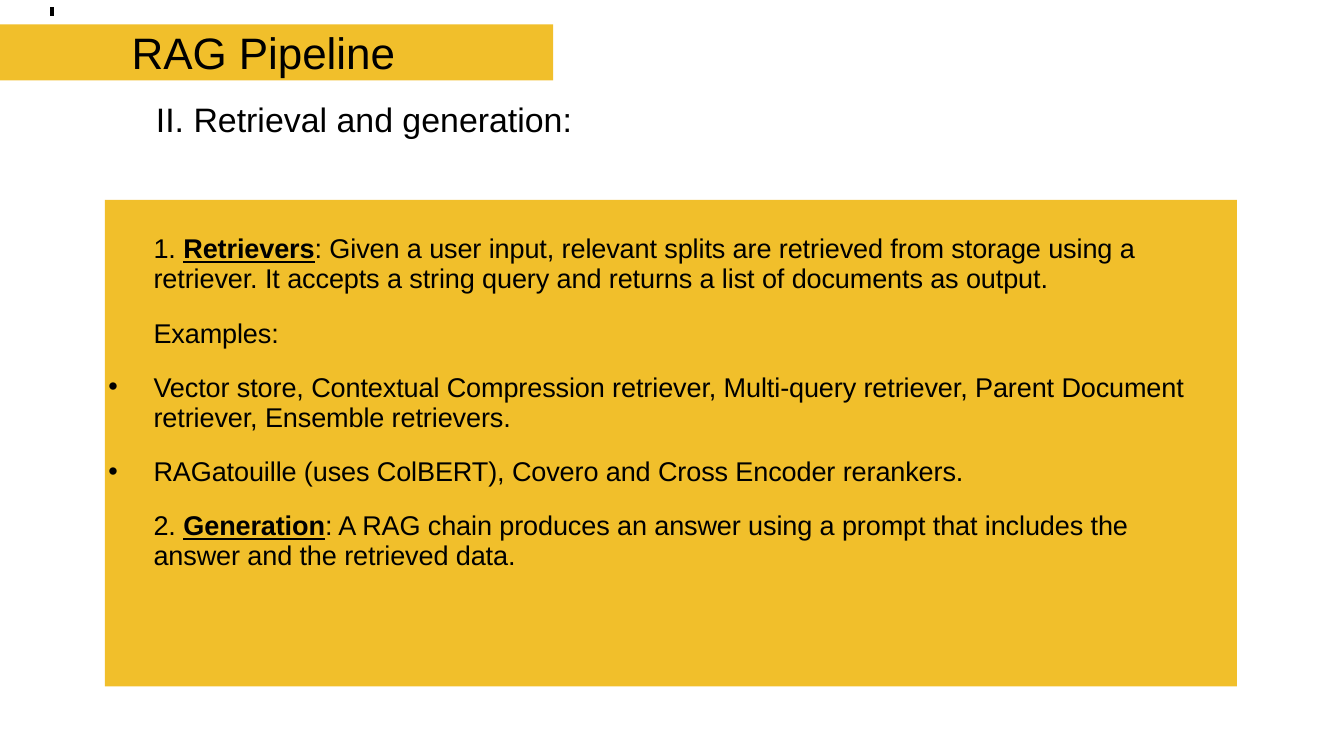
from pptx import Presentation
from pptx.dml.color import RGBColor
from pptx.enum.shapes import MSO_CONNECTOR, MSO_SHAPE
from pptx.enum.text import MSO_ANCHOR, MSO_AUTO_SIZE, PP_ALIGN
from pptx.oxml.ns import qn
from pptx.util import Inches, Pt
from lxml import etree

LEFT, TOP = PP_ALIGN.LEFT, MSO_ANCHOR.TOP
RECT, LINE = MSO_SHAPE.RECTANGLE, MSO_CONNECTOR.STRAIGHT
FIXED = MSO_AUTO_SIZE.NONE

# Content: each item is (bulleted, [(text, is key term), ...])
TITLE = "RAG Pipeline"
HEAD = "II. Retrieval and generation:"
ITEMS = [
    (False, [("1. ", False), ("Retrievers", True),
             (": Given a user input, relevant splits are retrieved from storage "
              "using a retriever. It accepts a string query and returns a list "
              "of documents as output.", False)]),
    (False, [("Examples:", False)]),
    (True, [("Vector store, Contextual Compression retriever, Multi-query "
             "retriever, Parent Document retriever, Ensemble retrievers.", False)]),
    (True, [("RAGatouille (uses ColBERT), Covero and Cross Encoder rerankers.",
             False)]),
    (False, [("2. ", False), ("Generation", True),
             (": A RAG chain produces an answer using a prompt that includes "
              "the answer and the retrieved data.", False)]),
]

# Type styles are (size, letter spacing in hundredths of a point)
THEME = {
    "font": "Arial", "ink": RGBColor(0, 0, 0), "gold": RGBColor(0xF1, 0xBF, 0x2B),
    "title": (Pt(26), -5), "head": (Pt(20), 0), "body": (Pt(16), -5),
    "pitch": Pt(17.8), "gap": Pt(14.2),
}

# Places: left, top, width, height in inches
BANDS = [(0, 0.2, 4.54, 0.46), (0.86, 1.64, 9.29, 3.99)]
TITLE_BOX = (1.08, 0.2, 2.6, 0.46)
HEAD_BOX = (1.28, 0.8, 3.9, 0.36)
BODY_BOX = (0.89, 1.92, 8.91, 3.6)
TICK = (0.43, 0.06, 0.43, 0.13)
INDENT = Inches(0.37)


def place(shape, box):
    for name, size in zip(("left", "top", "width", "height"), box):
        setattr(shape, name, Inches(size))


def frame(shape, inset=0.0):
    text = shape.text_frame
    form = {"margin_left": 0, "margin_right": 0, "margin_top": Inches(inset),
            "margin_bottom": 0, "word_wrap": True, "vertical_anchor": TOP,
            "auto_size": FIXED}
    for name, value in form.items():
        setattr(text, name, value)
    return text


def write(para, text, style, key=False):
    size, track = THEME[style]
    run = para.add_run()
    run.text = text
    form = {"name": THEME["font"], "size": size, "bold": key, "underline": key}
    for name, value in form.items():
        setattr(run.font, name, value)
    run.font.color.rgb = THEME["ink"]
    run.font._element.set("spc", str(track))


def indent(para, dot):
    props = para._p.get_or_add_pPr()
    props.set("marL", str(INDENT))
    props.set("indent", str(-INDENT if dot else 0))
    if dot:
        etree.SubElement(props, qn("a:buFont")).set("typeface", THEME["font"])
        etree.SubElement(props, qn("a:buChar")).set("char", "•")
    else:
        etree.SubElement(props, qn("a:buNone"))


deck = Presentation()
deck.slide_width, deck.slide_height = Pt(794), Pt(446.5)
slide = deck.slides.add_slide(deck.slide_layouts[1])
title, body = slide.shapes.title, slide.placeholders[1]

# Gold bands, behind the text
for box in BANDS:
    band = slide.shapes.add_shape(RECT, *map(Inches, box))
    band.shadow.inherit = False
    band.fill.solid()
    band.fill.fore_color.rgb = THEME["gold"]
    band.line.fill.background()
    title._element.addprevious(band._element)

# Tick at the top left
tick = slide.shapes.add_connector(LINE, *map(Inches, TICK))
tick.line.color.rgb = THEME["ink"]
tick.line.width = Pt(2.27)
etree.SubElement(tick._element.spPr, qn("a:effectLst"))

# Title and heading
head = slide.shapes.add_textbox(*map(Inches, HEAD_BOX))
place(title, TITLE_BOX)
for shape, text, style in ((title, TITLE, "title"), (head, HEAD, "head")):
    para = frame(shape, 0.01).paragraphs[0]
    para.alignment = LEFT
    write(para, text, style)

# Body list
place(body, BODY_BOX)
text = frame(body)
for i, (dot, parts) in enumerate(ITEMS):
    para = text.add_paragraph() if i else text.paragraphs[0]
    form = {"alignment": LEFT, "line_spacing": THEME["pitch"],
            "space_before": THEME["gap"] if i else Pt(0), "space_after": Pt(0)}
    for name, value in form.items():
        setattr(para, name, value)
    indent(para, dot)
    for words, key in parts:
        write(para, words, "body", key)

deck.save("out.pptx")
